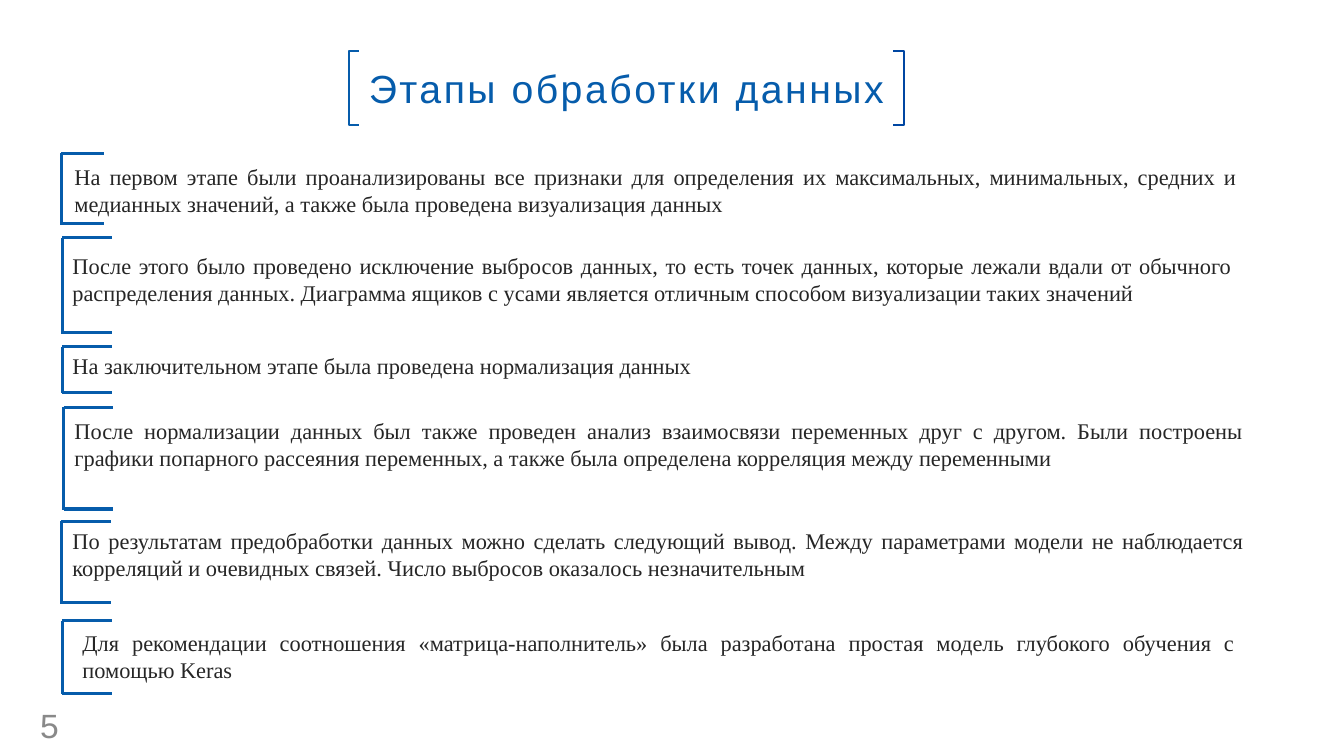
from lxml import etree
from pptx import Presentation
from pptx.dml.color import RGBColor
from pptx.enum.shapes import MSO_CONNECTOR
from pptx.enum.text import MSO_ANCHOR, MSO_AUTO_SIZE as FIT, PP_ALIGN as AL
from pptx.oxml.ns import qn
from pptx.util import Inches, Pt

BLUE, NAVY, INK, GREY, WHITE = "065CAB", "0046A2", "262626", "898989", "FFFFFF"

# text left, top, width; bracket left, top, bottom, arm length; text
STAGES = [
    ((0.64, 1.57, 11.73), (0.61, 1.52, 2.22, 0.42),
     "На первом этапе были проанализированы все признаки для определения их "
     "максимальных, минимальных, средних и медианных значений, а также была "
     "проведена визуализация данных"),
    ((0.62, 2.45, 11.7), (0.62, 2.36, 3.3, 0.49),
     "После этого было проведено исключение выбросов данных, то есть точек данных, "
     "которые лежали вдали от обычного распределения данных. Диаграмма ящиков с "
     "усами является отличным способом визуализации таких значений"),
    ((0.62, 3.44, 10.62), (0.62, 3.44, 3.89, 0.49),
     "На заключительном этапе была проведена нормализация данных"),
    ((0.64, 4.09, 11.79), (0.63, 4.04, 5.05, 0.49),
     "После нормализации данных был также проведен анализ взаимосвязи переменных "
     "друг с другом. Были построены графики попарного рассеяния переменных, а также "
     "была определена корреляция между переменными"),
    ((0.62, 5.18, 11.82), (0.61, 5.17, 5.98, 0.49),
     "По результатам предобработки данных можно сделать следующий вывод. Между "
     "параметрами модели не наблюдается корреляций и очевидных связей. Число "
     "выбросов оказалось незначительным"),
    ((0.72, 6.19, 11.63), (0.62, 6.16, 6.88, 0.49),
     "Для рекомендации соотношения «матрица-наполнитель» была разработана простая "
     "модель глубокого обучения с помощью Keras"),
]


def rgb(color):
    return RGBColor.from_string(color)


class Deck:
    def __init__(self):
        self.prs = Presentation()
        self.prs.slide_width, self.prs.slide_height = Inches(13.33), Inches(7.5)
        self.s = self.prs.slides.add_slide(self.prs.slide_layouts[5])
        self.s.background.fill.solid()
        self.s.background.fill.fore_color.rgb = rgb(WHITE)

    def run(self, tf, text, size, font, color, align):
        p = tf.paragraphs[0]
        p.alignment = align
        r = p.add_run()
        r.text = text
        r.font.size, r.font.name = Pt(size), font
        r.font.color.rgb = rgb(color)
        return r

    def title(self, text, x, y, w, h):
        sp = self.s.shapes.title
        sp.left, sp.top, sp.width, sp.height = map(Inches, (x, y, w, h))
        sp.fill.solid()
        sp.fill.fore_color.rgb = rgb(WHITE)
        sp.line.color.rgb, sp.line.width = rgb(WHITE), Pt(2)
        tf = sp.text_frame
        tf.auto_size, tf.word_wrap = FIT.NONE, True
        tf.vertical_anchor = MSO_ANCHOR.MIDDLE
        tf.margin_left = tf.margin_right = tf.margin_top = tf.margin_bottom = 0
        r = self.run(tf, text, 28, "Arial", BLUE, AL.CENTER)
        rPr = r._r.get_or_add_rPr()
        rPr.set("spc", "180")
        ln = etree.Element(qn("a:ln"), w=str(Pt(0.75)))
        fill = etree.SubElement(ln, qn("a:solidFill"))
        etree.SubElement(fill, qn("a:srgbClr"), val=BLUE)
        rPr.insert(0, ln)

    def title_bracket(self, inner, outer, top, bottom, color):
        points = [(outer, top), (outer, bottom), (inner, bottom)]
        fb = self.s.shapes.build_freeform(Inches(inner), Inches(top))
        fb.add_line_segments([(Inches(x), Inches(y)) for x, y in points], close=False)
        sp = fb.convert_to_shape()
        sp.shadow.inherit = False
        sp.fill.background()
        sp.line.color.rgb, sp.line.width = rgb(color), Pt(1.3)

    def line(self, x1, y1, x2, y2):
        c = self.s.shapes.add_connector(
            MSO_CONNECTOR.STRAIGHT, *map(Inches, (x1, y1, x2, y2)))
        c.line.color.rgb, c.line.width = rgb(BLUE), Pt(2.25)
        etree.SubElement(c._element.spPr, qn("a:effectLst"))

    def stage_bracket(self, x, top, bottom, arm):
        self.line(x, top, x, bottom + 0.01)
        for y in (top, bottom):
            self.line(x, y, x + arm, y)

    def text(self, text, x, y, w, h, size, font, color, align=AL.LEFT,
             anchor=MSO_ANCHOR.TOP, fit=FIT.NONE):
        tf = self.s.shapes.add_textbox(*map(Inches, (x, y, w, h))).text_frame
        tf.word_wrap, tf.auto_size, tf.vertical_anchor = True, fit, anchor
        self.run(tf, text, size, font, color, align)


def main():
    deck = Deck()
    deck.title("Этапы обработки данных", 3.46, 0.51, 5.51, 0.73)
    deck.title_bracket(3.56, 3.46, 0.51, 1.24, BLUE)
    deck.title_bracket(8.86, 8.97, 0.51, 1.24, NAVY)
    for (x, y, w), bracket, text in STAGES:
        deck.stage_bracket(*bracket)
        h = 0.64 if len(text) > 100 else 0.37
        deck.text(text, x, y, w, h, 16, "Times New Roman", INK, AL.JUSTIFY,
                  fit=FIT.SHAPE_TO_FIT_TEXT)
    deck.text("5", 0.3, 7.04, 0.62, 0.3, 24, "Arial", GREY, anchor=MSO_ANCHOR.MIDDLE)
    deck.prs.save("out.pptx")


if __name__ == "__main__":
    main()
